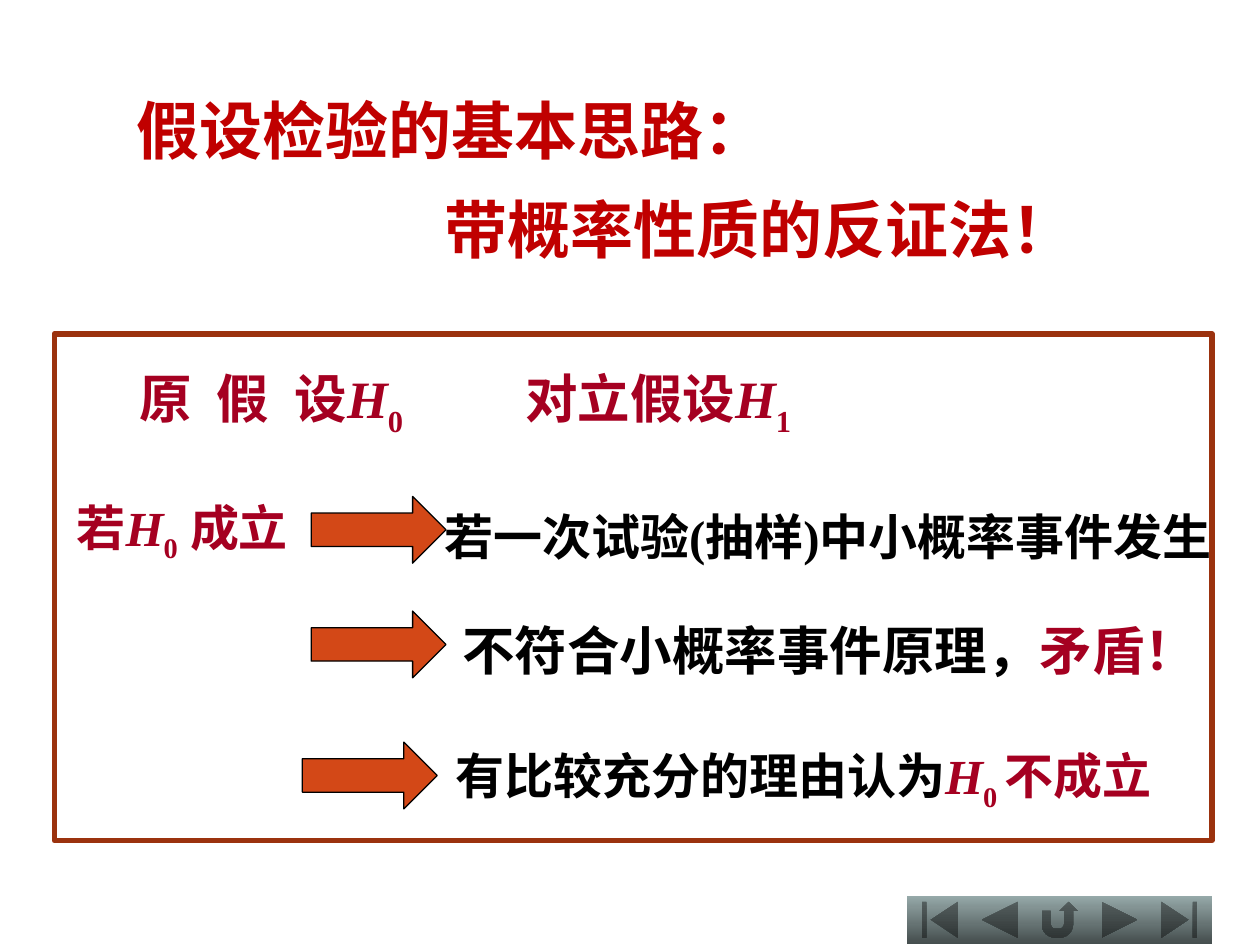
from dataclasses import dataclass

from pptx import Presentation, util as u
from pptx.dml.color import RGBColor
from pptx.enum import shapes, text
from pptx.oxml import parse_xml
from pptx.oxml.ns import nsdecls


@dataclass(frozen=True)
class Theme:
    font: str = "Times New Roman"
    heading: str = "C00000"
    accent: str = "A50021"
    ink: str = "000000"
    arrow: str = "D34817"
    frame: str = "9B320E"
    button_top: str = "96A9A9"
    button_bottom: str = "454E4E"
    heading_size: int = 36
    large: int = 30
    normal: int = 28


THEME = Theme()
CELL = u.Inches(0.1)  # the slide is a grid of 100 columns by 75 rows


def place(*cells):
    """Turn left, top, width and height in grid cells into lengths."""
    return [round(cell * CELL) for cell in cells]


def color(value):
    return RGBColor.from_string(value)


def add_run(paragraph, words, size, ink, italic=False, sub=False, spacing=0):
    run = paragraph.add_run()
    run.text = words
    font = run.font
    font.name, font.size, font.bold, font.italic = THEME.font, u.Pt(size), True, italic
    font.color.rgb = color(ink)
    properties = run._r.get_or_add_rPr()
    if sub:
        properties.set("baseline", "-25000")
    if spacing:
        properties.set("spc", str(round(spacing * 100)))


def write(box, parts, size, ink, tab=None):
    """Fill a box with parts, each a string or a (string, format) pair."""
    frame = box.text_frame
    frame.word_wrap = True
    frame.auto_size = text.MSO_AUTO_SIZE.NONE
    frame.vertical_anchor = text.MSO_ANCHOR.TOP
    paragraph = frame.paragraphs[0]
    paragraph.alignment = text.PP_ALIGN.LEFT
    if tab:
        paragraph._p.get_or_add_pPr().append(parse_xml(
            f'<a:tabLst {nsdecls("a")}><a:tab pos="{round(tab * CELL)}" algn="l"/></a:tabLst>'))
    for part in parts:
        words, style = (part, {}) if isinstance(part, str) else part
        add_run(paragraph, words, **{"size": size, "ink": ink, **style})


def add_text(slide, cells, parts, **style):
    write(slide.shapes.add_textbox(*place(*cells)), parts, **style)


def hypothesis(index, **style):
    """The symbol H with its subscript."""
    return [("H", {"italic": True, **style}), (index, {"sub": True, **style})]


def add_shape(slide, preset, cells):
    shape = slide.shapes.add_shape(preset, *place(*cells))
    shape.shadow.inherit = False
    return shape


def add_arrow(slide, col, row):
    arrow = add_shape(slide, shapes.MSO_SHAPE.RIGHT_ARROW, (col, row, 10.7, 5.3))
    arrow.fill.solid()
    arrow.fill.fore_color.rgb = color(THEME.arrow)
    arrow.line.color.rgb = color(THEME.ink)
    arrow.line.width = u.Pt(0.75)


def add_frame(slide):
    frame = add_shape(slide, shapes.MSO_SHAPE.RECTANGLE, (4.3, 26.5, 91.9, 40.2))
    frame.fill.background()
    frame.line.color.rgb = color(THEME.frame)
    frame.line.width = u.Pt(3)


def add_navigation(slide):
    kinds = ("BEGINNING", "BACK_OR_PREVIOUS", "RETURN", "FORWARD_OR_NEXT", "END")
    for step, kind in enumerate(kinds):
        preset = getattr(shapes.MSO_SHAPE, f"ACTION_BUTTON_{kind}")
        button = add_shape(slide, preset, (72 + 4.75 * step, 71.1, 5.2, 3.8))
        button.fill.gradient()
        button.fill.gradient_angle = 270
        for stop, shade in zip(button.fill.gradient_stops,
                               (THEME.button_top, THEME.button_bottom)):
            stop.color.rgb = color(shade)
        for stop, position in zip(button.fill.gradient_stops, (0, 1)):
            stop.position = position
        button.line.fill.background()


def main():
    deck = Presentation()
    deck.slide_width, deck.slide_height = place(100, 75)
    slide = deck.slides.add_slide(deck.slide_layouts[5])
    add_navigation(slide)

    # Heading in two steps
    heading = {"size": THEME.heading_size, "ink": THEME.heading}
    title = slide.shapes.title
    title.left, title.top, title.width, title.height = place(9.8, 6.8, 86, 7)
    write(title, ["假设检验的基本思路："], **heading)
    add_text(slide, (34.3, 14.6, 55.1, 7), ["带概率性质的反证法！"], **heading)

    # The two hypotheses
    add_text(slide, (10.1, 28.6, 57.6, 7),
             [("原 假 ", {"spacing": 3.75}), "设", *hypothesis("0"),
              "\t对立假设", *hypothesis("1")],
             size=THEME.large, ink=THEME.accent, tab=30.6)

    # The chain of reasoning
    add_text(slide, (5.1, 39, 24.2, 6.3), ["若", *hypothesis("0"), " 成立"],
             size=THEME.normal, ink=THEME.accent)
    add_text(slide, (34.3, 39.7, 63.2, 10.4), ["若一次试验(抽样)中小概率事件发生"],
             size=THEME.normal, ink=THEME.ink)
    add_text(slide, (35.7, 48.6, 57, 11),
             ["不符合小概率事件原理，", ("矛盾！", {"ink": THEME.accent})],
             size=THEME.large, ink=THEME.ink)
    add_text(slide, (35.2, 58.7, 61, 6.3),
             ["有比较充分的理由认为", *hypothesis("0 ", ink=THEME.accent),
              ("不成立", {"ink": THEME.accent})],
             size=THEME.normal, ink=THEME.ink)
    for col, row in ((24.7, 39.4), (24.7, 48.5), (24, 58.9)):
        add_arrow(slide, col, row)
    add_frame(slide)

    deck.save("out.pptx")


if __name__ == "__main__":
    main()
